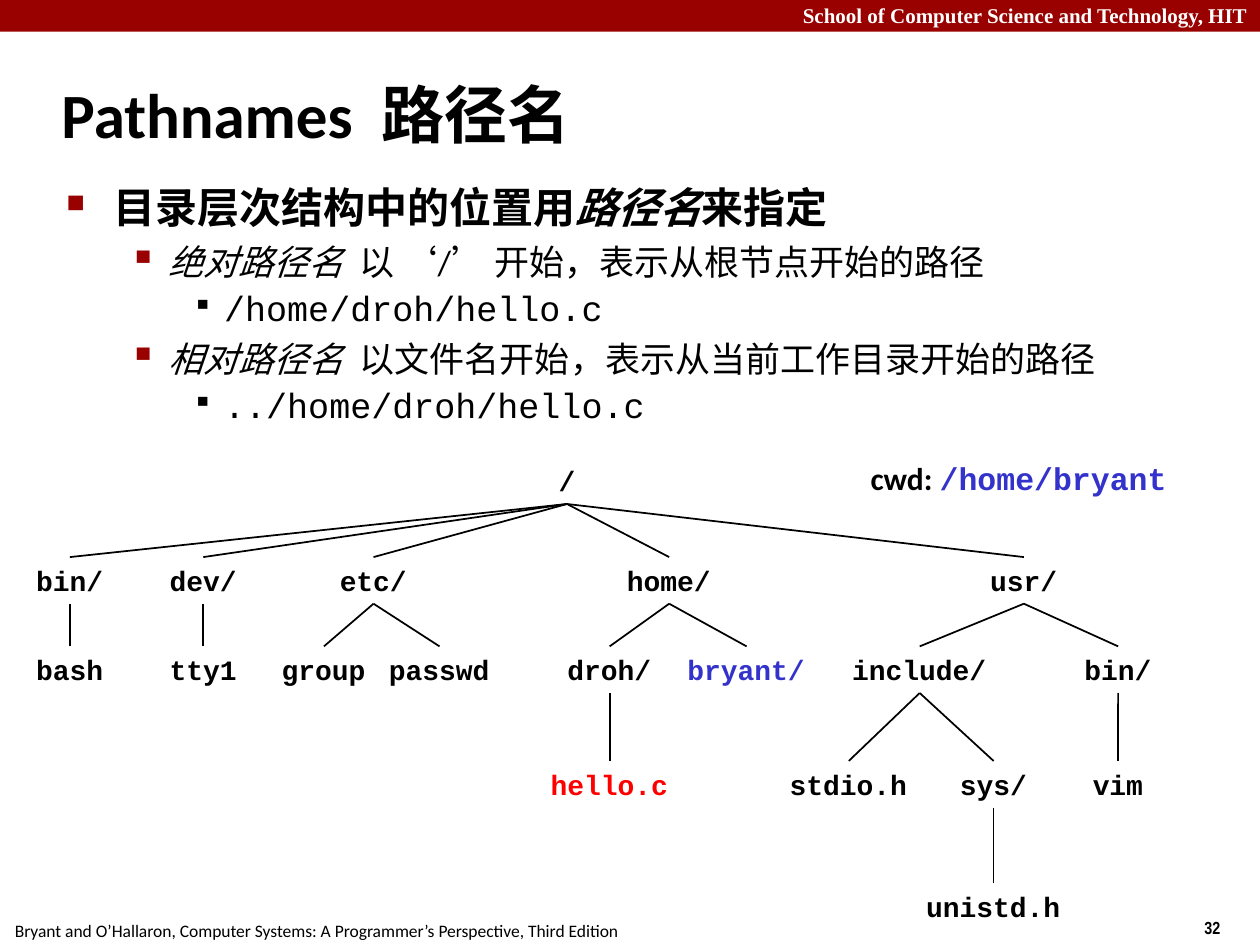
from lxml import etree
from pptx import Presentation
from pptx import util as u
from pptx.dml.color import RGBColor
from pptx.enum import shapes, text
from pptx.oxml import ns

BLACK, WHITE, CRIMSON, BLUE, RED = "000000", "FFFFFF", "990000", "3333CC", "FF0000"
SANS, MONO = "Calibri", "Courier New"


def paint(color, value):
    """Set a fill or font colour from a hex string."""
    color.rgb = RGBColor.from_string(value)


class SlideMaker:
    node_height = 0.94
    char_width = 0.34
    node_padding = 0.5

    # level: (left margin cm, hanging cm, size, space before, line spacing,
    #         bullet, bullet colour, bullet size %)
    levels = [
        (0.95, 0.95, 24, 0, None, "■", CRIMSON, 60),
        (2.06, 0.8, 20, 5, None, "▪", CRIMSON, 110),
        (3.18, 0.64, 20, 5, 0.9, "▪", BLACK, 80),
    ]

    def __init__(self, page):
        self.page = page

    def band(self, left, top, width, height, color):
        bar = self.page.shapes.add_shape(
            shapes.MSO_SHAPE.RECTANGLE,
            u.Cm(left), u.Cm(top), u.Cm(width), u.Cm(height))
        bar.shadow.inherit = False
        bar.fill.solid()
        paint(bar.fill.fore_color, color)
        bar.line.fill.background()

    def font(self, font, name, size, color=BLACK, bold=False):
        font.name, font.size, font.bold = name, u.Pt(size), bold
        paint(font.color, color)

    def box(self, left, top, width, height, wrap=False):
        box = self.page.shapes.add_textbox(
            u.Cm(left), u.Cm(top), u.Cm(width), u.Cm(height))
        box.text_frame.word_wrap = wrap
        return box

    def label(self, words, place, name, size, color=BLACK, bold=True, wrap=False,
              align=text.PP_ALIGN.LEFT, anchor=text.MSO_ANCHOR.TOP):
        box = self.box(*place, wrap=wrap)
        box.text_frame.vertical_anchor = anchor
        para = box.text_frame.paragraphs[0]
        para.alignment = align
        para.add_run().text = words
        self.font(para.font, name, size, color, bold)
        return box

    def spans(self, para, parts):
        """Add runs given as (words, settings for font)."""
        for words, settings in parts:
            span = para.add_run()
            span.text = words
            self.font(span.font, **settings)

    def bullet(self, para, level, parts, name):
        margin, hang, size, before, spacing, mark, color, percent = self.levels[level]
        para.level = level
        props = para._p.get_or_add_pPr()
        props.set("marL", str(u.Cm(margin)))
        props.set("indent", str(-u.Cm(hang)))
        tint = etree.SubElement(props, ns.qn("a:buClr"))
        etree.SubElement(tint, ns.qn("a:srgbClr"), val=color)
        etree.SubElement(props, ns.qn("a:buSzPct"), val=str(percent * 1000))
        etree.SubElement(props, ns.qn("a:buChar"), char=mark)
        para.space_before = u.Pt(before)
        if spacing:
            para.line_spacing = spacing
        for words, italic in parts:
            span = para.add_run()
            span.text = words
            span.font.italic = italic
        self.font(para.font, name, size, bold=level == 0)

    def node(self, words, center, top, color=BLACK):
        width = self.node_padding + self.char_width * len(words)
        place = (center - width / 2, top, width, self.node_height)
        return self.label(words, place, MONO, 16, color)

    def edge(self, parent, child):
        line = self.page.shapes.add_connector(shapes.MSO_CONNECTOR.STRAIGHT, 0, 0, 0, 0)
        line.begin_connect(parent, 2)
        line.end_connect(child, 0)
        line.line.width = u.Pt(1)
        paint(line.line.color, BLACK)
        etree.SubElement(line._element.spPr, ns.qn("a:effectLst"))

    def tree(self, branch, tops, depth=0):
        """Draw a (name, center, color, children) branch and join it up."""
        name, center, color, children = branch
        parent = self.node(name, center, tops[depth], color)
        for child in children:
            self.edge(parent, self.tree(child, tops, depth + 1))
        return parent


def branch(name, center, *children, color=BLACK):
    return name, center, color, children


def main():
    deck = Presentation()
    deck.slide_width, deck.slide_height = u.Cm(25.4), u.Cm(19.05)
    maker = SlideMaker(deck.slides.add_slide(deck.slide_layouts[6]))

    # Header and footer
    maker.band(0, 0, 25.4, 0.64, CRIMSON)
    maker.label("School of Computer Science and Technology, HIT", (0, -0.08, 25.4, 0.76),
                "Times New Roman", 12, WHITE, wrap=True, align=text.PP_ALIGN.RIGHT)
    maker.label("Bryant and O’Hallaron, Computer Systems: A Programmer’s Perspective, "
                "Third Edition", (0.05, 18.42, 12.73, 0.69), SANS, 10, bold=False)
    maker.label("32", (24.03, 18.36, 1.9, 0.69), "Arial Narrow", 10)

    # Title
    maker.label("Pathnames  路径名", (0.99, 1.22, 21.08, 2.11), SANS, 36, wrap=True,
                anchor=text.MSO_ANCHOR.MIDDLE)

    # Bullets: level, font, (words, italic) parts
    bullets = [
        (0, SANS, [("目录层次结构中的位置用", False), ("路径名", True), ("来指定", False)]),
        (1, SANS, [("绝对路径名  ", True), ("以 ‘/’ 开始，表示从根节点开始的路径", False)]),
        (2, MONO, [("/home/droh/hello.c", False)]),
        (1, SANS, [("相对路径名  ", True),
                   ("以文件名开始，表示从当前工作目录开始的路径", False)]),
        (2, MONO, [("../home/droh/hello.c", False)]),
    ]
    frame = maker.box(1.09, 3.53, 23.67, 5.31, wrap=True).text_frame
    for index, (level, name, parts) in enumerate(bullets):
        para = frame.add_paragraph() if index else frame.paragraphs[0]
        maker.bullet(para, level, parts, name)

    # Directory tree
    root = branch(
        "/", 11.43,
        branch("bin/", 1.41, branch("bash", 1.41)),
        branch("dev/", 4.1, branch("tty1", 4.1)),
        branch("etc/", 7.53, branch("group", 6.53), branch("passwd", 8.86)),
        branch("home/", 13.49,
               branch("droh/", 12.29, branch("hello.c", 12.29, color=RED)),
               branch("bryant/", 15.05, color=BLUE)),
        branch("usr/", 20.64,
               branch("include/", 18.54,
                      branch("stdio.h", 17.11),
                      branch("sys/", 20.03, branch("unistd.h", 20.03))),
               branch("bin/", 22.54, branch("vim", 22.54))))
    maker.tree(root, tops=[9.22, 11.23, 13.03, 15.34, 17.81])

    # Current working directory
    caption = maker.box(17.3, 9.12, 6.71, 1.02).text_frame.paragraphs[0]
    maker.spans(caption, [
        ("cwd: ", dict(name=SANS, size=18, bold=True)),
        ("/home/bryant", dict(name=MONO, size=18, color=BLUE, bold=True)),
    ])

    deck.save("out.pptx")


if __name__ == "__main__":
    main()
